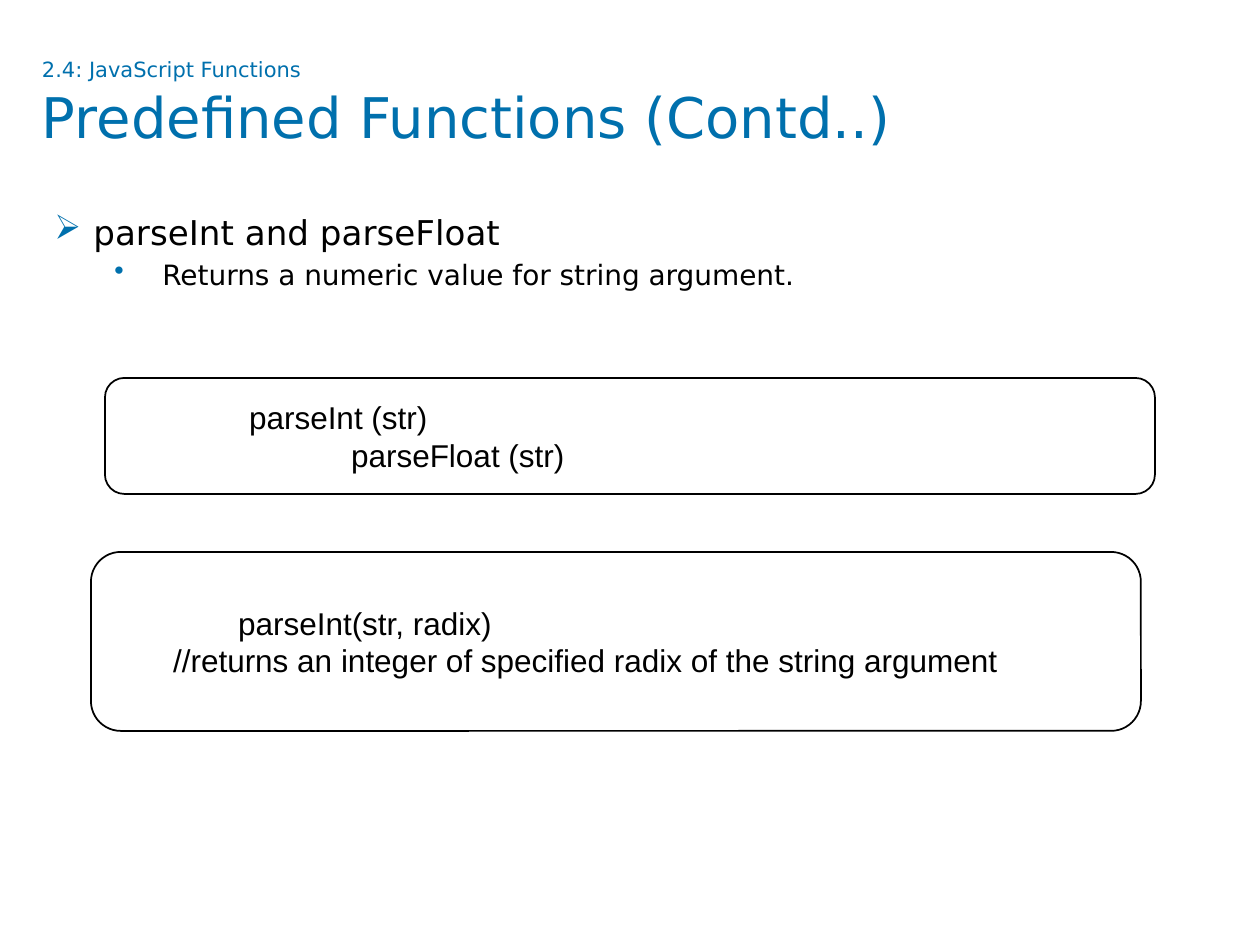
from lxml.etree import SubElement
from pptx import Presentation
from pptx.dml.color import RGBColor
from pptx.enum.shapes import MSO_SHAPE
from pptx.enum.text import MSO_ANCHOR, PP_ALIGN
from pptx.oxml.ns import qn
from pptx.util import Pt

PX = 914400 // 126
BLUE = RGBColor(0x00, 0x70, 0xAD)
BLACK = RGBColor(0, 0, 0)
WHITE = RGBColor(255, 255, 255)
SANS = "DejaVu Sans"


def write(frame, text, size=18, font="Arial", color=BLACK, left=0, hang=0,
          bullet=None, before=0):
    """Fill the empty first paragraph, or add a new one; lengths in px."""
    para = frame.paragraphs[0]
    if para.runs:
        para = frame.add_paragraph()
    para.alignment = PP_ALIGN.LEFT
    para.space_before = Pt(before)
    run = para.add_run()
    run.text = text
    run.font.size = Pt(size)
    run.font.name = font
    run.font.color.rgb = color
    props = para._p.get_or_add_pPr()
    props.set("marL", str(left * PX))
    props.set("indent", str(-hang * PX))
    if bullet:
        tint = SubElement(props, qn("a:buClr"))
        SubElement(tint, qn("a:srgbClr"), val=str(BLUE))
        SubElement(props, qn("a:buChar"), char=bullet)


def add_text(slide, x, y, w, h, inset=True):
    box = slide.shapes.add_textbox(x * PX, y * PX, w * PX, h * PX)
    frame = box.text_frame
    frame.word_wrap = True
    if not inset:
        frame.margin_left = frame.margin_right = 0
        frame.margin_top = frame.margin_bottom = 0
    return frame


def add_code(slide, x, y, w, h, lines):
    """Rounded box with (text, left indent) lines."""
    box = slide.shapes.add_shape(MSO_SHAPE.ROUNDED_RECTANGLE,
                                 x * PX, y * PX, w * PX, h * PX)
    box.shadow.inherit = False
    box.fill.solid()
    box.fill.fore_color.rgb = WHITE
    box.line.color.rgb = BLACK
    box.line.width = Pt(1)
    frame = box.text_frame
    frame.word_wrap = True
    frame.vertical_anchor = MSO_ANCHOR.MIDDLE
    for text, left in lines:
        write(frame, text, left=left)


def main():
    deck = Presentation()
    deck.slide_width, deck.slide_height = 1260 * PX, 945 * PX
    slide = deck.slides.add_slide(deck.slide_layouts[6])

    title = add_text(slide, 42, 57, 1176, 118, inset=False)
    write(title, "2.4: JavaScript Functions", 12, SANS, BLUE)
    write(title, "Predefined Functions (Contd..)", 32, SANS, BLUE)

    add_code(slide, 105, 378, 1050, 116,
             [("parseInt (str)", 126), ("parseFloat (str)", 228)])

    body = add_text(slide, 42, 205, 1134, 179)
    write(body, "parseInt and parseFloat", 19.5, SANS,
          left=39, hang=39, bullet="➢", before=4)
    write(body, "Returns a numeric value for string argument.", 16, SANS,
          left=108, hang=48, bullet="•", before=3)

    add_code(slide, 91, 552, 1050, 179,
             [("parseInt(str, radix)", 126),
              ("//returns an integer of specified radix of the string argument",
               61)])
    deck.save("out.pptx")


if __name__ == "__main__":
    main()
